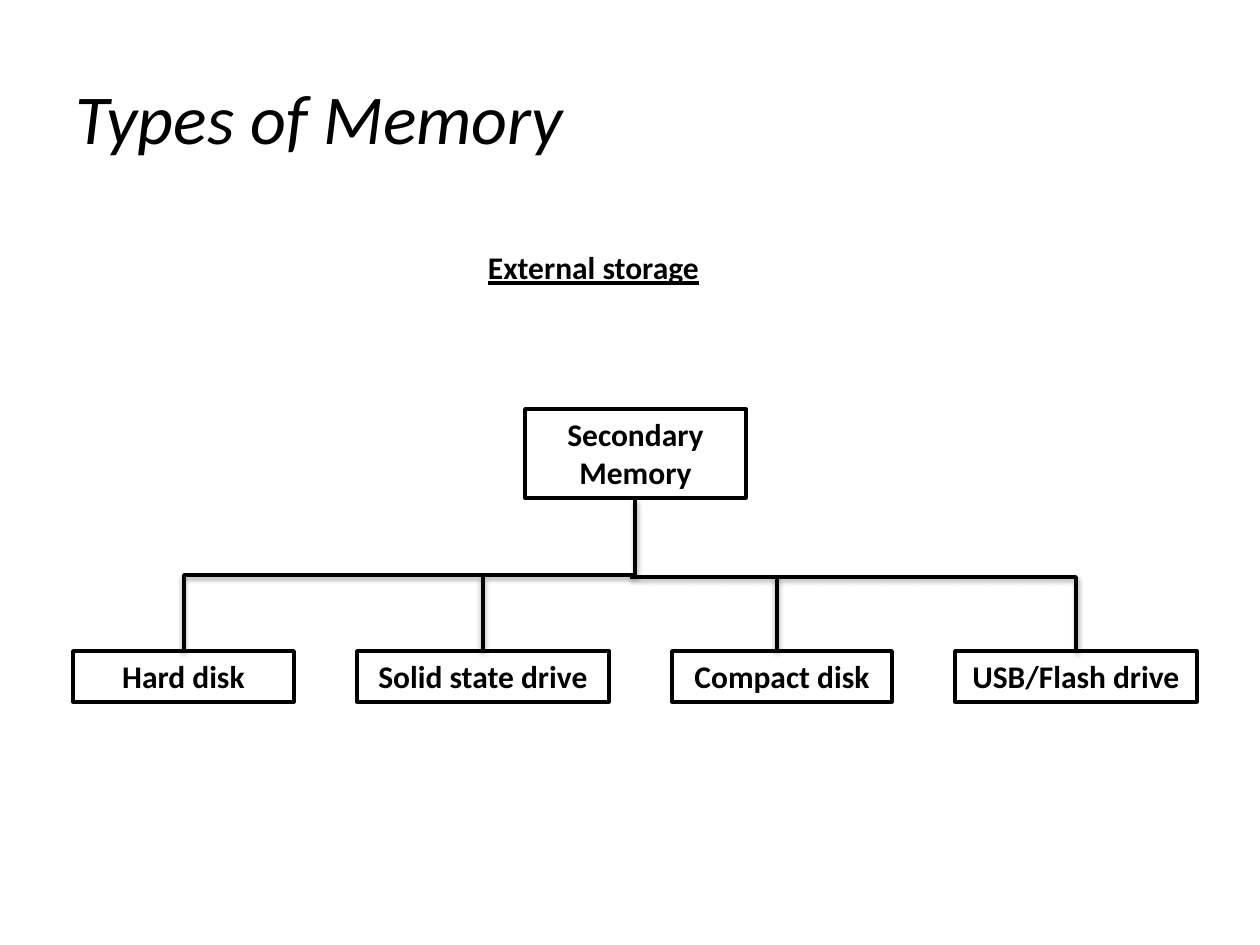
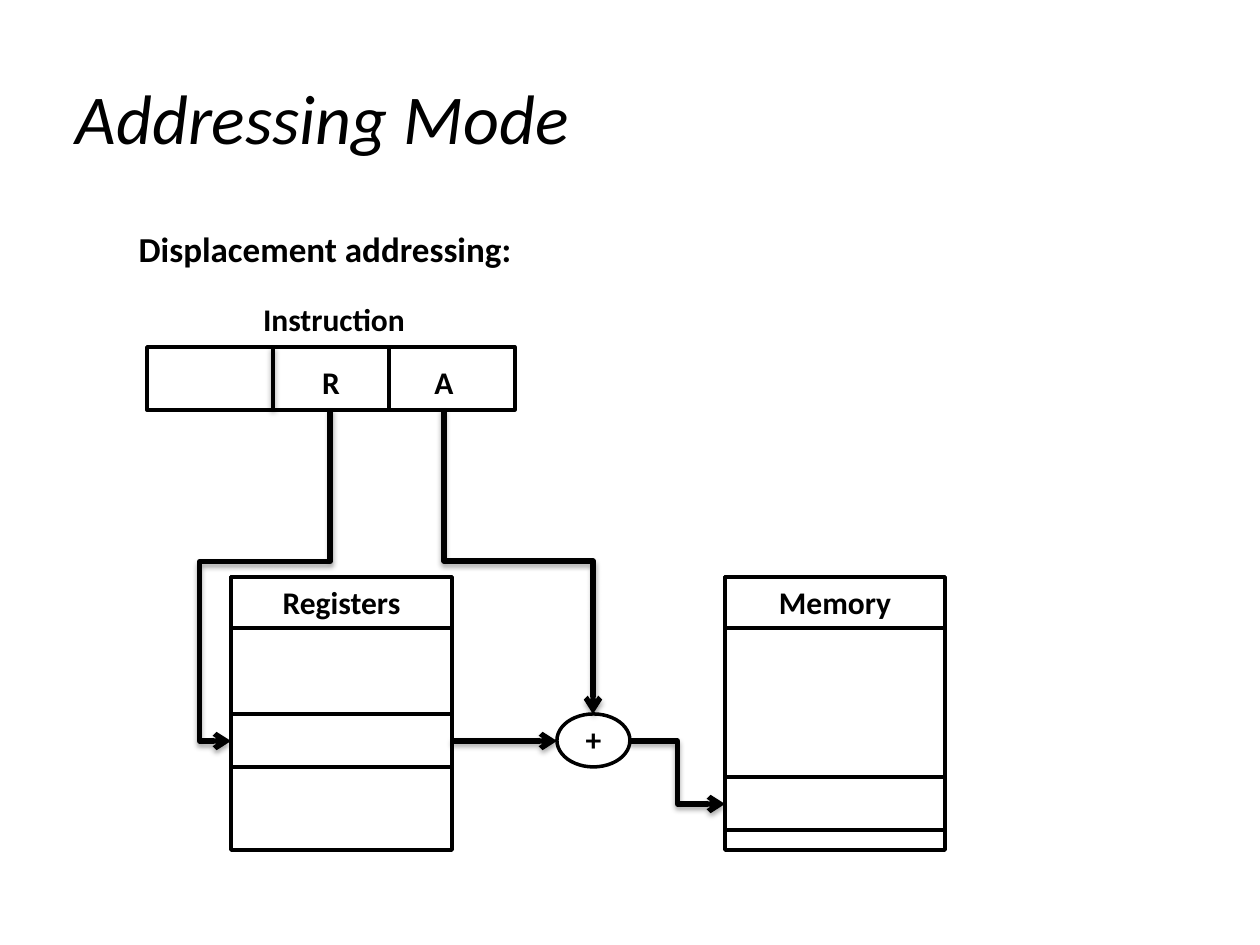
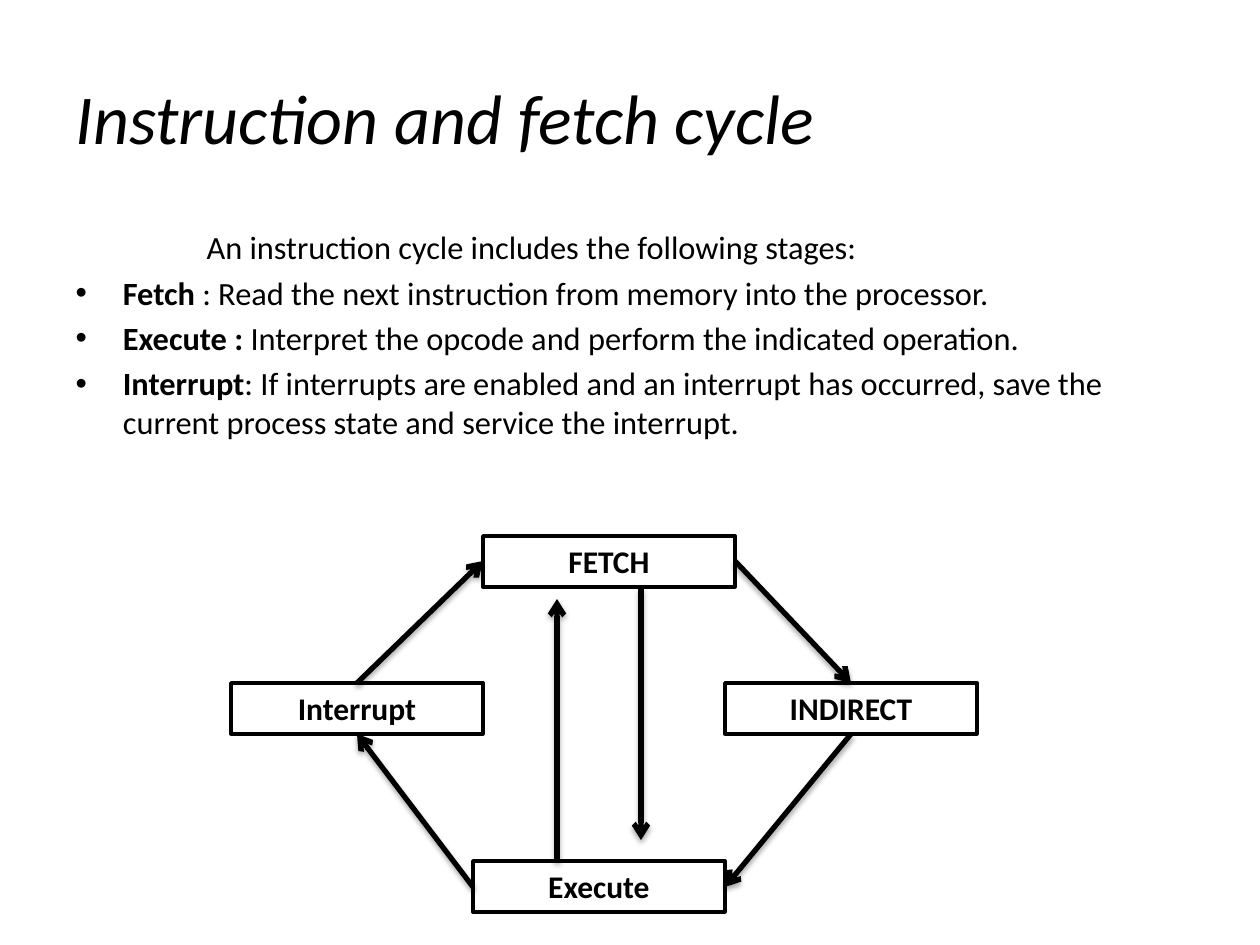
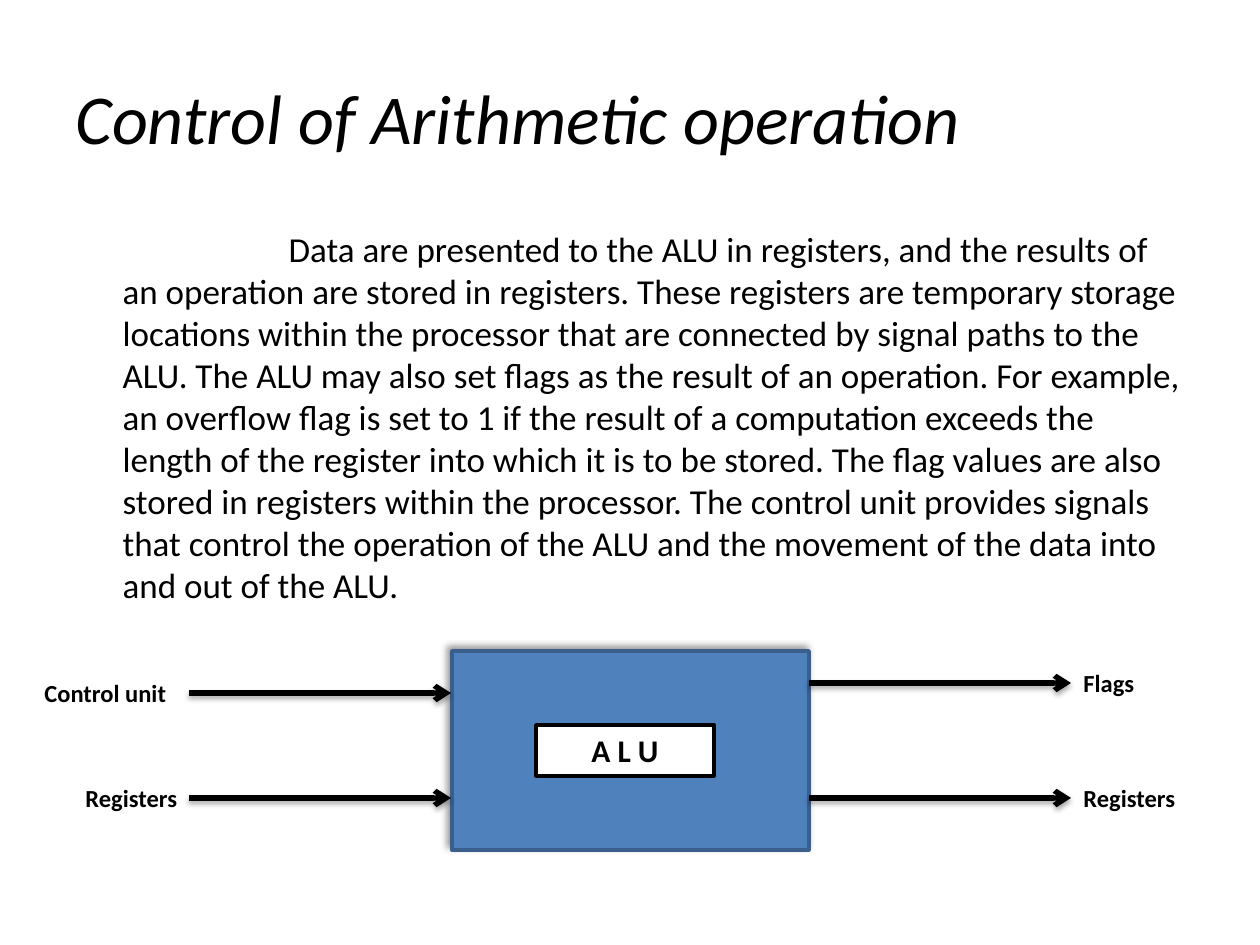
"""Build four slides on computer organisation: memory, addressing, the instruction cycle and the ALU."""
from lxml import etree
from pptx import Presentation
from pptx.dml.color import RGBColor
from pptx.enum.shapes import MSO_CONNECTOR, MSO_SHAPE
from pptx.enum.text import MSO_ANCHOR, MSO_AUTO_SIZE, PP_ALIGN
from pptx.oxml.ns import qn
from pptx.util import Emu, Pt

RECTANGLE, OVAL = MSO_SHAPE.RECTANGLE, MSO_SHAPE.OVAL
STRAIGHT, ELBOW = MSO_CONNECTOR.STRAIGHT, MSO_CONNECTOR.ELBOW
LEFT, CENTER = PP_ALIGN.LEFT, PP_ALIGN.CENTER
TOP = MSO_ANCHOR.TOP
NO_FIT, GROW = MSO_AUTO_SIZE.NONE, MSO_AUTO_SIZE.SHAPE_TO_FIT_TEXT

COLORS = {"ink": "000000", "paper": "FFFFFF", "blue": "4F81BD", "blue_edge": "3A5F8C"}
FONT = "Calibri"
EMU_PER_PIXEL = 914400 / 126
PAGE = (1260, 945)
TITLE_FRAME = (63, 38, 1134, 158)
BODY_MARGIN = 47
ROW = 51
THIN, THICK = 2, 3
THIN_SHADOW = {"alpha": 38, "blur": 3.1, "distance": 1.6, "angle": 90}
THICK_SHADOW = {"alpha": 35, "blur": 3.1, "distance": 1.8, "angle": 90}
BLOCK_SHADOW = {"alpha": 40, "blur": 4, "distance": 3, "angle": 225}

SLIDES = [
    {
        "title": "Types of Memory",
        "boxes": [
            ("Hard disk", (73, 651, 221, ROW)),
            ("Solid state drive", (357, 651, 252, ROW)),
            ("Compact disk", (672, 651, 220, ROW)),
            ("USB/Flash drive", (955, 651, 242, ROW)),
            ("Secondary Memory", (525, 409, 221, 89)),
        ],
        "labels": [("External storage", (378, 242, 431, ROW), {"underline": True})],
        "elbows": [
            ((635, 499), (184, 651), {"vertical": True, "adjust": [50000]}),
            ((630, 577), (1076, 651), {"preset": "bentConnector2"}),
        ],
        "lines": [((x, 577), (x, 651)) for x in (483, 777)],
    },
    {
        "title": "Addressing Mode",
        "body": {
            "frame": (63, 221, 1134, 624),
            "size": 20,
            "paragraphs": [(16, [("Displacement addressing:", True)])],
        },
        "boxes": [
            ("", (147, 347, 368, 63)),
            ("", (273, 347, 116, 63)),
            ("", (231, 577, 221, 273)),
            ("Registers", (231, 577, 221, ROW)),
            ("", (725, 577, 220, 273)),
            ("Memory", (725, 577, 220, ROW)),
            ("", (557, 714, 73, 53), {"kind": OVAL}),
            ("", (231, 714, 221, 53)),
            ("", (725, 777, 220, 53)),
        ],
        "labels": [
            ("Instruction", (242, 294, 184, ROW), {}),
            ("A", (378, 357, 132, ROW), {}),
            ("R", (284, 357, 94, ROW), {}),
            ("+", (567, 714, 53, ROW), {}),
        ],
        "lines": [((273, 347), (273, 410))],
        "elbows": [
            ((330, 408), (231, 741), {"vertical": True, "arrow": True, "preset": "bentConnector4",
                                      "adjust": [46100, 131600]}),
            ((444, 408), (593, 714), {"vertical": True, "arrow": True, "adjust": [50000]}),
            ((630, 741), (725, 804), {"arrow": True, "adjust": [50000]}),
        ],
        "arrows": [((452, 741), (557, 741))],
    },
    {
        "title": "Instruction and fetch cycle",
        "body": {
            "frame": (63, 221, 1134, 284),
            "size": 18.5,
            "paragraphs": [
                (84, [("An instruction cycle includes the following stages: ", False)]),
                (None, [("Fetch ", True),
                        (": Read the next instruction from memory into the processor. ", False)]),
                (None, [("Execute : ", True),
                        ("Interpret the opcode and perform the indicated operation. ", False)]),
                (None, [("Interrupt", True),
                        (": If interrupts are enabled and an interrupt has occurred, save the "
                         "current process state and service the interrupt.", False)]),
            ],
        },
        "boxes": [
            ("FETCH", (483, 536, 252, ROW)),
            ("Interrupt", (231, 683, 252, ROW)),
            ("INDIRECT", (725, 683, 252, ROW)),
            ("Execute", (473, 861, 252, ROW)),
        ],
        "arrows": [
            ((641, 588), (641, 840)),
            ((557, 861), (557, 599)),
            ((357, 683), (483, 561)),
            ((735, 561), (851, 683)),
            ((851, 734), (725, 887)),
            ((473, 887), (357, 734)),
        ],
    },
    {
        "title": "Control of Arithmetic operation",
        "body": {
            "frame": (63, 221, 1134, 624),
            "size": 20,
            "paragraphs": [(166, [(
                "Data are presented to the ALU in registers, and the results of an operation are "
                "stored in registers. These registers are temporary storage locations within the "
                "processor that are connected by signal paths to the ALU. The ALU may also set "
                "flags as the result of an operation. For example, an overflow flag is set to 1 if "
                "the result of a computation exceeds the length of the register into which it is "
                "to be stored. The flag values are also stored in registers within the processor. "
                "The control unit provides signals that control the operation of the ALU and the "
                "movement of the data into and out of the ALU.", False)])],
        },
        "boxes": [
            ("", (452, 651, 357, 199), {"fill": "blue", "edge": "blue_edge", "shadow": BLOCK_SHADOW}),
            ("A L U", (536, 725, 178, ROW)),
        ],
        "arrows": [((x, y), (x + 262, y))
                   for x, y in ((189, 693), (189, 798), (809, 683), (809, 798))],
        "labels": [
            (text, (x, y, 147, 42), {"size": 14, "align": LEFT})
            for text, x, y in (("Control unit", 32, 672), ("Registers ", 73, 777),
                               ("Registers ", 1071, 777), ("Flags ", 1071, 662))
        ],
    },
]


def emu(pixels):
    """Turn pixels into EMU."""
    return Emu(round(pixels * EMU_PER_PIXEL))


def color(name):
    """Look up a colour by name."""
    return RGBColor.from_string(COLORS[name])


def write(paragraph, text, size=18, bold=False, italic=False, underline=False, align=None):
    """Append one formatted run to a paragraph."""
    if align is not None:
        paragraph.alignment = align
    run = paragraph.add_run()
    run.text = text
    font = run.font
    font.name, font.size, font.bold, font.italic = FONT, Pt(size), bold, italic
    font.underline = underline or None
    font.color.rgb = color("ink")


def write_block(shape, text, size=18, align=CENTER, underline=False):
    """Put bold, wrapped text at the top of a shape that grows with it."""
    frame = shape.text_frame
    frame.word_wrap = True
    frame.vertical_anchor = TOP
    frame.auto_size = GROW
    write(frame.paragraphs[0], text, size=size, bold=True, underline=underline, align=align)


def add_shadow(shape, alpha, blur, distance, angle):
    """Give a shape or connector an outer shadow."""
    properties = shape._element.spPr
    effects = properties.find(qn("a:effectLst"))
    if effects is None:
        effects = etree.SubElement(properties, qn("a:effectLst"))
    outer = etree.SubElement(effects, qn("a:outerShdw"), blurRad=str(Pt(blur)), dist=str(Pt(distance)),
                             dir=str(angle * 60000), rotWithShape="0")
    tint = etree.SubElement(outer, qn("a:srgbClr"), val=COLORS["ink"])
    etree.SubElement(tint, qn("a:alpha"), val=str(alpha * 1000))


def add_box(slide, text, frame, kind=RECTANGLE, fill="paper", edge="ink", shadow=None):
    """Draw an outlined shape, with text if there is any."""
    shape = slide.shapes.add_shape(kind, *map(emu, frame))
    shape.shadow.inherit = False
    shape.fill.solid()
    shape.fill.fore_color.rgb = color(fill)
    shape.line.color.rgb = color(edge)
    shape.line.width = Pt(THIN)
    if shadow:
        add_shadow(shape, **shadow)
    if text:
        write_block(shape, text)


def add_link(slide, start, end, kind=STRAIGHT, arrow=False):
    """Draw a line, or a thicker arrow, between two points."""
    connector = slide.shapes.add_connector(kind, *map(emu, start + end))
    connector.line.color.rgb = color("ink")
    connector.line.width = Pt(THICK if arrow else THIN)
    if arrow:
        etree.SubElement(connector.line._get_or_add_ln(), qn("a:tailEnd"), type="arrow")
    add_shadow(connector, **(THICK_SHADOW if arrow else THIN_SHADOW))
    return connector


def add_elbow(slide, start, end, vertical=False, preset="bentConnector3", adjust=(), arrow=False):
    """Draw a bent connector that leaves sideways, or downwards when vertical."""
    (x1, y1), (x2, y2) = start, end
    width, height = abs(x2 - x1), abs(y2 - y1)
    if vertical:
        width, height = height, width
    left, top = (x1 + x2 - width) / 2, (y1 + y2 - height) / 2
    connector = add_link(slide, (left, top), (left + width, top + height), kind=ELBOW, arrow=arrow)
    properties = connector._element.spPr
    if vertical:
        transform = properties.find(qn("a:xfrm"))
        transform.set("rot", str((90 if x2 < x1 else 270) * 60000))
        if x2 > x1:
            transform.set("flipH", "1")
    geometry = properties.find(qn("a:prstGeom"))
    geometry.set("prst", preset)
    guides = geometry.find(qn("a:avLst"))
    if guides is None:
        guides = etree.SubElement(geometry, qn("a:avLst"))
    for number, value in enumerate(adjust, 1):
        etree.SubElement(guides, qn("a:gd"), name=f"adj{number}", fmla=f"val {value}")


def place(placeholder, frame):
    """Move a placeholder and return its text frame."""
    placeholder.left, placeholder.top, placeholder.width, placeholder.height = map(emu, frame)
    placeholder.text_frame.auto_size = NO_FIT
    return placeholder.text_frame


def fill_body(placeholder, frame, size, paragraphs):
    """Fill the body with bullets, or with plain paragraphs where an indent is given."""
    text_frame = place(placeholder, frame)
    for index, (indent, runs) in enumerate(paragraphs):
        paragraph = text_frame.add_paragraph() if index else text_frame.paragraphs[0]
        if indent is not None:
            properties = paragraph._p.get_or_add_pPr()
            properties.set("marL", str(emu(BODY_MARGIN)))
            properties.set("indent", str(emu(indent)))
            etree.SubElement(properties, qn("a:buNone"))
        for text, bold in runs:
            write(paragraph, text, size=size, bold=bold)


def build_slide(presentation, content):
    """Build one slide from its content."""
    layout = presentation.slide_layouts[1 if "body" in content else 5]
    slide = presentation.slides.add_slide(layout)
    title = place(slide.shapes.title, TITLE_FRAME)
    write(title.paragraphs[0], content["title"], size=40, italic=True, align=LEFT)
    if "body" in content:
        fill_body(slide.placeholders[1], **content["body"])
    for text, frame, *options in content["boxes"]:
        add_box(slide, text, frame, **(options[0] if options else {}))
    for text, frame, options in content.get("labels", []):
        write_block(slide.shapes.add_textbox(*map(emu, frame)), text, **options)
    for start, end, options in content.get("elbows", []):
        add_elbow(slide, start, end, **options)
    for start, end in content.get("lines", []):
        add_link(slide, start, end)
    for start, end in content.get("arrows", []):
        add_link(slide, start, end, arrow=True)


presentation = Presentation()
presentation.slide_width, presentation.slide_height = map(emu, PAGE)
for content in SLIDES:
    build_slide(presentation, content)
presentation.save("out.pptx")
